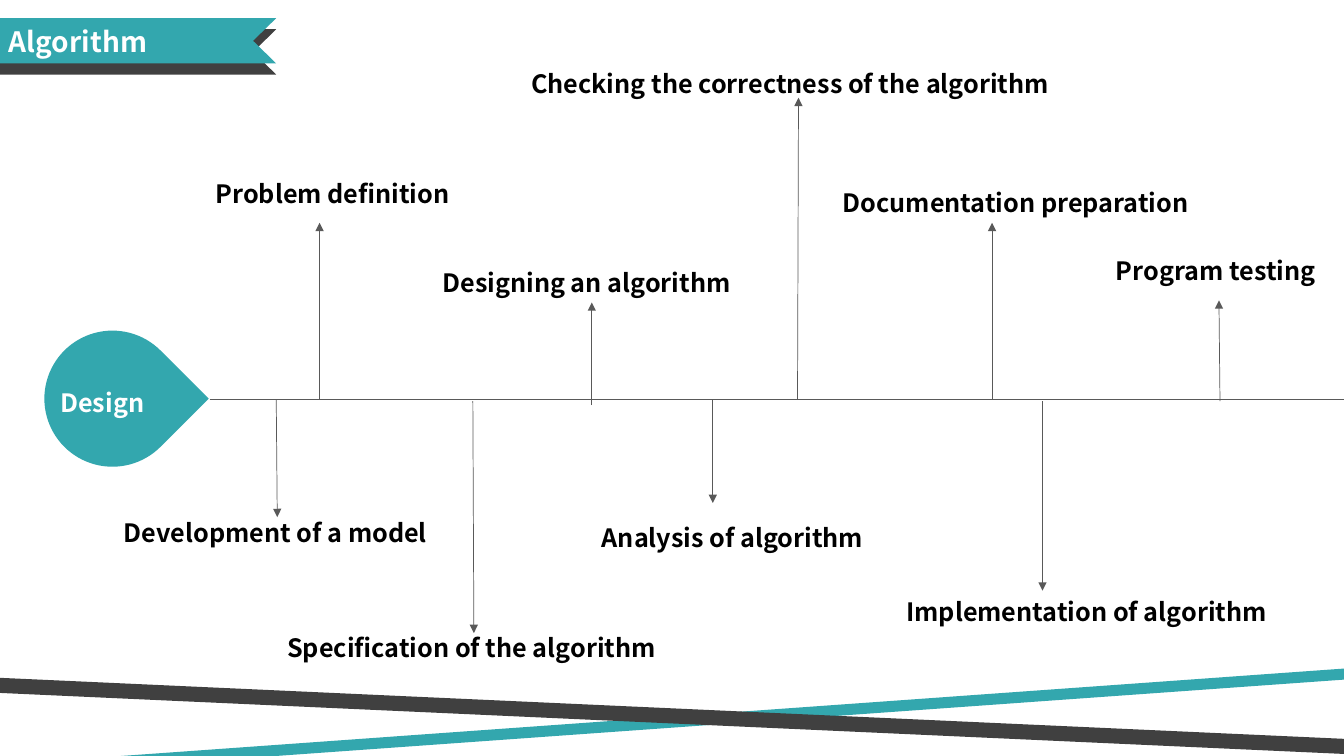
from pptx import Presentation
from pptx.util import Inches, Pt
from pptx.dml.color import RGBColor
from pptx.enum.shapes import MSO_SHAPE, MSO_CONNECTOR
from pptx.enum.text import MSO_AUTO_SIZE, PP_ALIGN
from pptx.oxml.ns import qn
from lxml import etree

theme = {
    "font": "Noto Sans CJK SC", "title": Pt(20), "label": Pt(18),
    "teal": RGBColor.from_string("33A7AE"),
    "dark": RGBColor.from_string("404040"),
    "line": RGBColor.from_string("595959"),
    "white": RGBColor.from_string("FFFFFF"),
    "black": RGBColor.from_string("000000"),
}

deck = Presentation()
deck.slide_width, deck.slide_height = Inches(13.33), Inches(7.5)
slide = deck.slides.add_slide(deck.slide_layouts[6])
shapes = slide.shapes


def add_text(text, left, top, width, size="label", color="black", align=PP_ALIGN.LEFT):
    box = shapes.add_textbox(Inches(left), Inches(top), Inches(width), Inches(0.4))
    frame = box.text_frame
    frame.word_wrap = True
    frame.auto_size = MSO_AUTO_SIZE.SHAPE_TO_FIT_TEXT
    para = frame.paragraphs[0]
    para.text, para.alignment = text, align
    font = para.font
    font.name, font.size, font.bold = theme["font"], theme[size], True
    font.color.rgb = theme[color]


def add_line(start, end, arrow=True):
    line = shapes.add_connector(MSO_CONNECTOR.STRAIGHT, *map(Inches, start + end))
    line.line.color.rgb, line.line.width = theme["line"], Pt(0.5)
    if arrow:
        etree.SubElement(line.line._get_or_add_ln(), qn("a:tailEnd"), type="triangle")
    etree.SubElement(line._element.spPr, qn("a:effectLst"))


# Title ribbon: a dark band behind a teal one
solids = []
for top, color in [(0.29, "dark"), (0.18, "teal")]:
    edge = [(2.74, top), (2.51, top + 0.225), (2.74, top + 0.45), (0, top + 0.45)]
    build = shapes.build_freeform(0, Inches(top))
    build.add_line_segments([(Inches(x), Inches(y)) for x, y in edge], close=True)
    solids.append((build.convert_to_shape(), color, 0))

# Crossing bars at the foot, and the drop that starts the timeline
for kind, color, turn, spot in [
    (MSO_SHAPE.RECTANGLE, "teal", -4.1, (0.13, 7.1, 13.33, 0.11)),
    (MSO_SHAPE.RECTANGLE, "dark", 2.6, (-0.01, 7.03, 13.47, 0.15)),
    (MSO_SHAPE.TEAR, "teal", 45, (0.44, 3.28, 1.35, 1.35)),
]:
    solids.append((shapes.add_shape(kind, *map(Inches, spot)), color, turn))

for solid, color, turn in solids:
    solid.shadow.inherit = False
    solid.fill.solid()
    solid.fill.fore_color.rgb = theme[color]
    solid.line.fill.background()
    solid.rotation = turn

add_text("Algorithm", -0.01, 0.19, 1.63, "title", "white")
add_text("Design", 0.5, 3.79, 1.55, color="white")

# Timeline axis
axis = 3.96
add_line((2.08, axis), (13.33, axis), arrow=False)

# Steps: label, its left, top and width, then arrow start and end
steps = [
    ("Development of a model", 1.13, 5.08, 3.59, (2.74, axis), (2.75, 5.13)),
    ("Problem definition", 2.04, 1.72, 2.66, (3.17, axis), (3.17, 2.21)),
    ("Specification of the algorithm", 2.75, 6.22, 3.96, (4.69, 3.98), (4.7, 6.28)),
    ("Designing an algorithm", 4.29, 2.6, 3.17, (5.87, 4.02), (5.87, 3)),
    ("Analysis of algorithm", 5.87, 5.13, 2.88, (7.07, axis), (7.07, 4.99)),
    ("Checking the correctness of the algorithm", 5.17, 0.63, 5.49,
     (7.91, axis), (7.92, 0.97)),
    ("Documentation preparation", 8.26, 1.81, 3.83, (9.84, axis), (9.84, 2.21)),
    ("Implementation of algorithm", 8.89, 5.87, 3.87, (10.34, 3.98), (10.34, 5.86)),
    ("Program testing", 10.97, 2.48, 2.25, (12.1, 3.98), (12.09, 2.98)),
]
for text, left, top, width, start, end in steps:
    add_line(start, end)
    add_text(text, left, top, width, align=PP_ALIGN.JUSTIFY)

deck.save("out.pptx")
